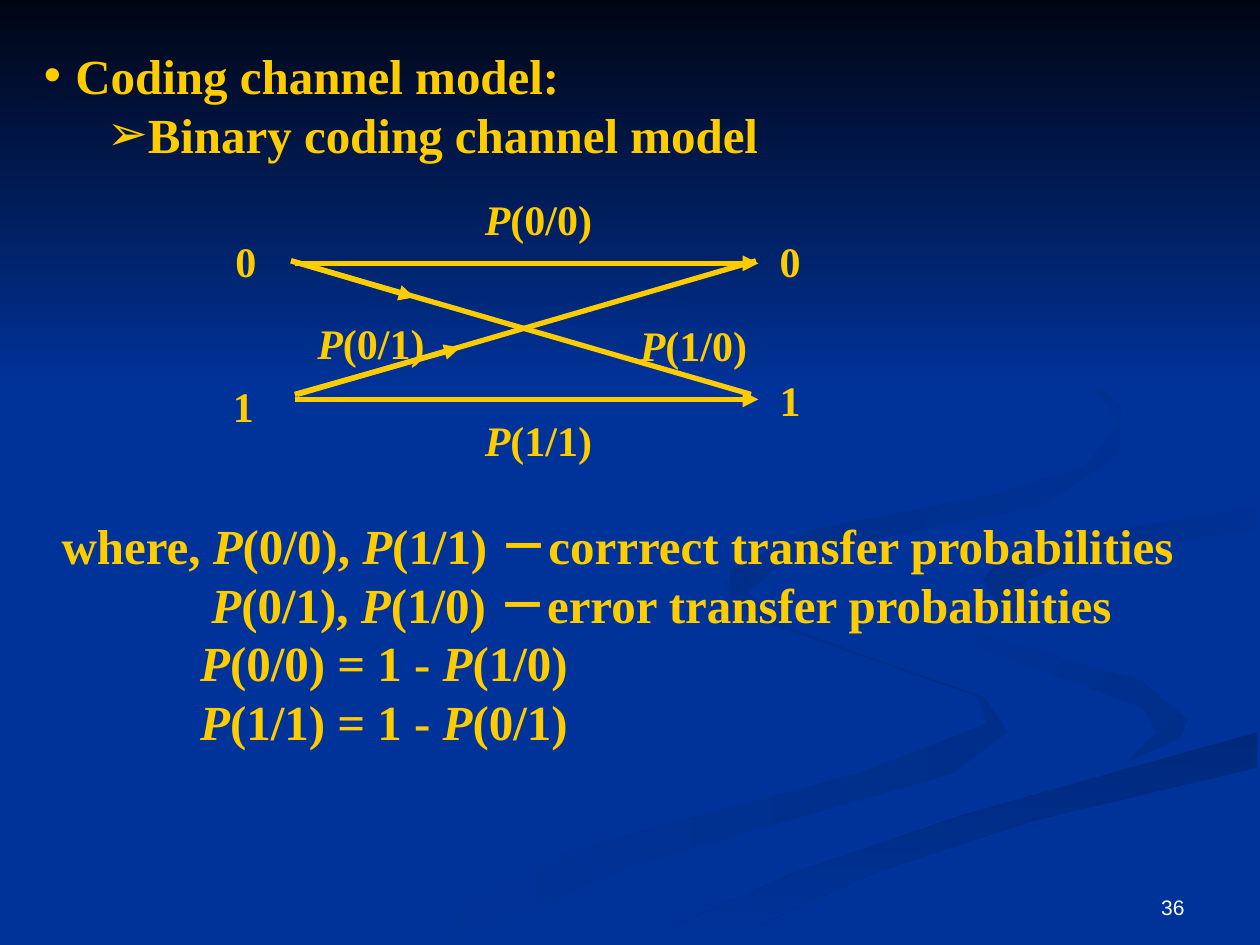
from lxml.etree import SubElement
from pptx import Presentation
from pptx.dml.color import RGBColor
from pptx.enum.shapes import MSO_CONNECTOR
from pptx.enum.text import MSO_ANCHOR, PP_ALIGN
from pptx.oxml.ns import qn
from pptx.util import Pt

PX = 9144
GOLD = "FFCC00"
BLUE = "003399"
tint = RGBColor.from_string

deck = Presentation()
deck.slide_width, deck.slide_height = 1000 * PX, 750 * PX
slide = deck.slides.add_slide(deck.slide_layouts[6])
slide.background.fill.solid()
slide.background.fill.fore_color.rgb = tint(BLUE)


def add_box(x, y, wide, high):
    box = slide.shapes.add_textbox(x * PX, y * PX, wide * PX, high * PX)
    box.text_frame.word_wrap = True
    return box.text_frame


def set_line(para, text, size):
    for count, part in enumerate(text.split("P")):
        for word, slant in (("P" if count else "", True), (part, False)):
            if word:
                run = para.add_run()
                run.text = word
                run.font.name = "Times New Roman"
                run.font.size = Pt(size)
                run.font.bold = True
                run.font.italic = slant
                run.font.color.rgb = tint(GOLD)


ribbons = [
    ("002E8A", BLUE, 180, [
        (781, 553), (682, 519), (594, 485), (575, 459), (581, 484), (679, 519),
        (776, 553), (783, 574), (684, 613), (458, 674), (300, 749), (361, 749),
        (499, 687), (756, 614), (800, 581)]),
    ("002E8A", BLUE, 225, [
        (943, 571), (905, 540), (758, 498), (724, 464), (746, 500), (838, 536),
        (907, 562), (918, 581), (894, 605), (937, 586)]),
    ("00297C", BLUE, 90, [
        (503, 749), (571, 749), (695, 692), (821, 651), (998, 609), (998, 581),
        (764, 647), (630, 693)]),
    (BLUE, "002C85", 225, [
        (781, 460), (791, 478), (826, 496), (805, 476), (816, 459), (878, 439),
        (998, 420), (998, 402), (849, 427), (791, 447)]),
    (BLUE, "002B81", 225, [
        (683, 430), (825, 402), (889, 362), (890, 324), (843, 275), (762, 233),
        (846, 279), (889, 335), (861, 370), (791, 392), (649, 420), (580, 451),
        (580, 474), (622, 500), (593, 470), (624, 444)]),
    ("000514", BLUE, 90, [(0, 0), (0, 308), (1000, 308), (1000, 0)]),
]
for first, last, angle, points in ribbons:
    pen = slide.shapes.build_freeform(*points[0], scale=PX)
    pen.add_line_segments(points[1:], close=True)
    shape = pen.convert_to_shape()
    shape.shadow.inherit = False
    shape.line.fill.background()
    shape.fill.gradient()
    shape.fill.gradient_angle = 360 - angle
    for stop, shade in zip(shape.fill.gradient_stops, (first, last)):
        stop.color.rgb = tint(shade)

head = add_box(0, 31, 1000, 103)
heads = [("Coding channel model:", "•"), ("Binary coding channel model", "➢")]
for level, (text, mark) in enumerate(heads):
    para = head.add_paragraph() if level else head.paragraphs[0]
    props = para._p.get_or_add_pPr()
    props.set("marL", str((level + 1) * 50 * PX))
    props.set("indent", str(-25 * PX))
    color = SubElement(props, qn("a:buClr"))
    SubElement(color, qn("a:srgbClr"), val=GOLD)
    SubElement(props, qn("a:buFont"), typeface="Arial")
    SubElement(props, qn("a:buChar"), char=mark)
    set_line(para, text, 28)

notes = add_box(0, 404, 1000, 196)
lines = [
    (39, "where, P(0/0), P(1/1) －corrrect transfer probabilities"),
    (158, "P(0/1), P(1/0) －error transfer probabilities"),
    (149, "P(0/0) = 1 - P(1/0)"),
    (149, "P(1/1) = 1 - P(0/1)"),
]
for row, (left, text) in enumerate(lines):
    para = notes.add_paragraph() if row else notes.paragraphs[0]
    para._p.get_or_add_pPr().set("marL", str(left * PX))
    set_line(para, text, 28)

links = [
    (234, 313, 365, 276, True),
    (231, 207, 329, 236, True),
    (234, 209, 602, 209, True),
    (231, 207, 596, 313, False),
    (236, 313, 600, 207, False),
    (234, 317, 602, 317, True),
]
for *ends, arrow in links:
    link = slide.shapes.add_connector(
        MSO_CONNECTOR.STRAIGHT, *(end * PX for end in ends))
    link.line.width = Pt(3)
    link.line.color.rgb = tint(GOLD)
    if arrow:
        SubElement(link.line._get_or_add_ln(), qn("a:tailEnd"), type="triangle")
    SubElement(link._element.spPr, qn("a:effectLst"))

labels = [
    (177, 182, "0"),
    (175, 297, "1"),
    (609, 292, "1"),
    (609, 182, "0"),
    (375, 149, "P(0/0)"),
    (242, 247, "P(0/1)"),
    (375, 324, "P(1/1)"),
    (498, 249, "P(1/0)"),
]
for x, y, text in labels:
    wide = 110 if "P" in text else 44
    set_line(add_box(x, y, wide, 50).paragraphs[0], text, 24)

page = add_box(717, 683, 233, 52)
page.vertical_anchor = MSO_ANCHOR.BOTTOM
page.text = "36"
para = page.paragraphs[0]
para.alignment = PP_ALIGN.RIGHT
font = para.runs[0].font
font.name = "Arial"
font.size = Pt(12)
font.color.rgb = tint("FFFFFF")

deck.save("out.pptx")
